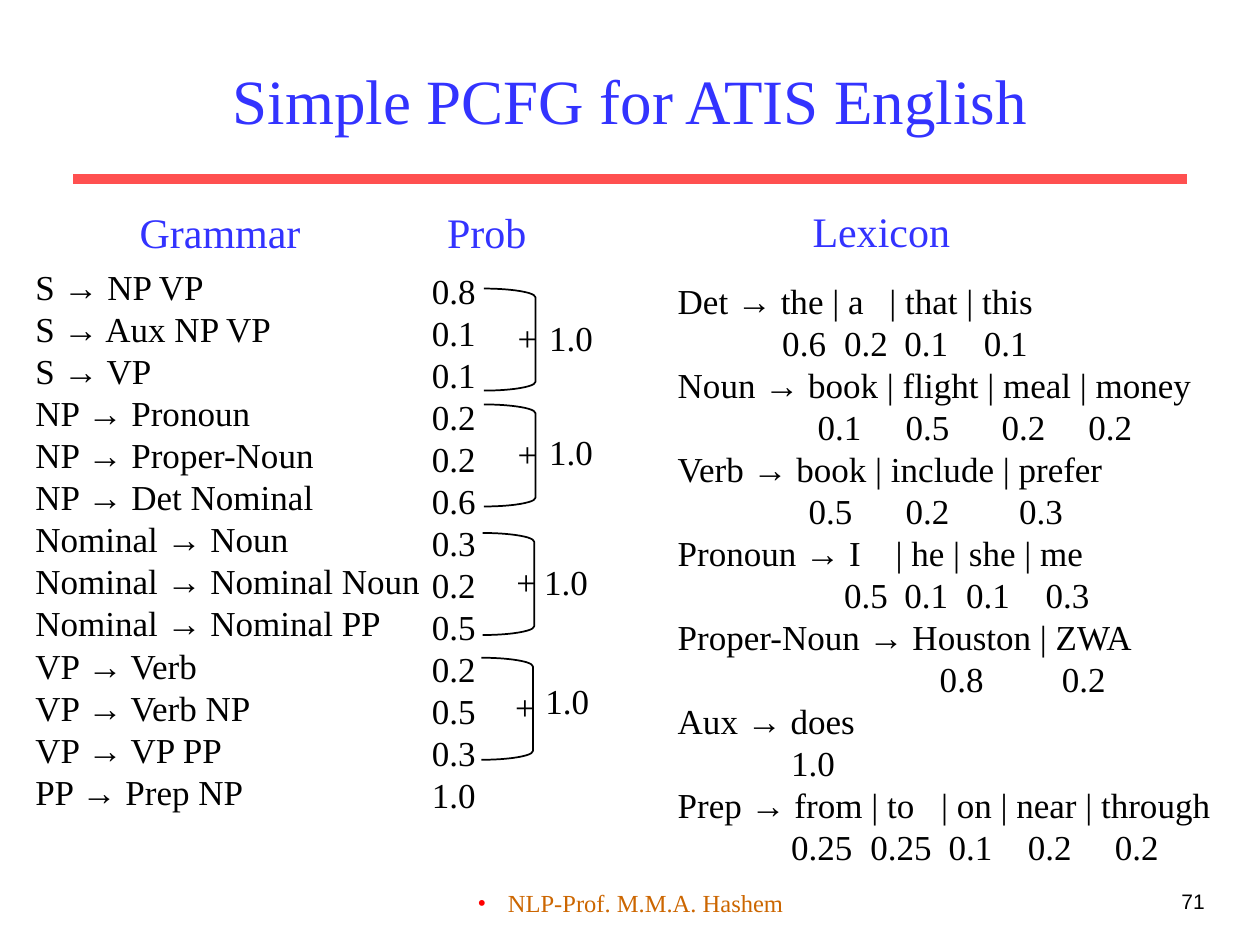
"""Build a slide showing a simple probabilistic grammar with its lexicon."""
from dataclasses import dataclass

from lxml.etree import SubElement
from pptx import Presentation
from pptx.dml.color import RGBColor
from pptx.enum.shapes import MSO_CONNECTOR, MSO_SHAPE
from pptx.enum.text import MSO_ANCHOR, MSO_AUTO_SIZE, PP_ALIGN
from pptx.oxml.ns import qn
from pptx.util import Inches, Pt

BLUE = RGBColor(0x33, 0x33, 0xFF)
CORAL = RGBColor(0xFF, 0x50, 0x50)
RED = RGBColor(0xFF, 0x00, 0x00)
ORANGE = RGBColor(0xCC, 0x66, 0x00)
BLACK = RGBColor(0x00, 0x00, 0x00)
SERIF = "Times New Roman"


@dataclass
class Style:
    size: int = 20
    color: RGBColor = BLACK
    font: str = SERIF
    align: PP_ALIGN = PP_ALIGN.LEFT
    anchor: MSO_ANCHOR = MSO_ANCHOR.TOP
    wrap: bool = True


@dataclass
class Rule:
    text: str
    probability: str


@dataclass
class Group:
    left: float
    top: float
    total_left: float
    total_top: float


@dataclass
class Entry:
    words: str
    probabilities: list[str]
    stops: list[float]
    word_stop: float | None = None


BODY = Style()
HEADING = Style(24, BLUE, wrap=False)
TITLE = Style(36, BLUE, align=PP_ALIGN.CENTER, anchor=MSO_ANCHOR.MIDDLE)
FOOTER = Style(14, ORANGE, align=PP_ALIGN.CENTER)
NUMBER = Style(12, font="Arial", align=PP_ALIGN.RIGHT)

RULES = [
    Rule("S → NP VP", "0.8"),
    Rule("S → Aux NP VP", "0.1"),
    Rule("S → VP", "0.1"),
    Rule("NP → Pronoun", "0.2"),
    Rule("NP → Proper-Noun", "0.2"),
    Rule("NP → Det Nominal", "0.6"),
    Rule("Nominal → Noun", "0.3"),
    Rule("Nominal → Nominal Noun", "0.2"),
    Rule("Nominal → Nominal PP", "0.5"),
    Rule("VP → Verb", "0.2"),
    Rule("VP → Verb NP", "0.5"),
    Rule("VP → VP PP", "0.3"),
    Rule("PP → Prep NP", "1.0"),
]
GROUPS = [
    Group(3.84, 2.29, 4.26, 2.46),
    Group(3.84, 3.21, 4.26, 3.37),
    Group(3.83, 4.23, 4.22, 4.4),
    Group(3.82, 5.22, 4.23, 5.34),
]
LEXICON = [
    Entry("Det → the | a\t| that | this", ["0.6", "0.2", "0.1", "0.1"],
          [0.83, 1.32, 1.8, 2.43], 1.68),
    Entry("Noun → book | flight | meal | money", ["0.1", "0.5", "0.2", "0.2"],
          [1.11, 1.81, 2.57, 3.26]),
    Entry("Verb → book | include | prefer", ["0.5", "0.2", "0.3"], [1.04, 1.81, 2.71]),
    Entry("Pronoun → I\t| he | she | me", ["0.5", "0.1", "0.1", "0.3"],
          [1.32, 1.8, 2.29, 2.92], 1.73),
    Entry("Proper-Noun → Houston | ZWA", ["0.8", "0.2"], [2.08, 3.05]),
    Entry("Aux → does", ["1.0"], [0.9]),
    Entry("Prep → from | to\t| on | near | through", ["0.25", "0.25", "0.1", "0.2", "0.2"],
          [0.9, 1.53, 2.15, 2.78, 3.47], 2.09),
]


def write(shape, box: tuple, lines: list[str], style: Style):
    """Place a text shape and fill it with uniformly styled lines."""
    shape.left, shape.top, shape.width, shape.height = map(Inches, box)
    frame = shape.text_frame
    frame.text = "\n".join(lines)
    frame.word_wrap = style.wrap
    frame.auto_size = MSO_AUTO_SIZE.NONE
    frame.vertical_anchor = style.anchor
    for paragraph in frame.paragraphs:
        paragraph.alignment = style.align
        if shape.is_placeholder:
            paragraph.space_before = Pt(0)
            properties = paragraph._p.get_or_add_pPr()
            properties.set("marL", "0")
            properties.set("indent", "0")
            SubElement(properties, qn("a:buNone"))
        for run in paragraph.runs:
            run.font.size = Pt(style.size)
            run.font.name = style.font
            run.font.color.rgb = style.color
    return shape


def add_text(slide, box: tuple, lines: list[str], style: Style = BODY):
    """Add a styled text box."""
    return write(slide.shapes.add_textbox(0, 0, 0, 0), box, lines, style)


def set_tabs(paragraph, stops: list[float]) -> None:
    """Give a paragraph left tab stops."""
    tabs = SubElement(paragraph._p.get_or_add_pPr(), qn("a:tabLst"))
    for stop in stops:
        SubElement(tabs, qn("a:tab"), pos=str(Inches(stop)), algn="l")


def add_bullet(paragraph, color: RGBColor, indent: float) -> None:
    """Give a paragraph a coloured hanging bullet."""
    properties = paragraph._p.get_or_add_pPr()
    properties.set("marL", str(Inches(indent)))
    properties.set("indent", str(-Inches(indent)))
    SubElement(SubElement(properties, qn("a:buClr")), qn("a:srgbClr"), val=str(color))
    SubElement(properties, qn("a:buFont"), typeface=SERIF)
    SubElement(properties, qn("a:buChar"), char="•")


def add_group(slide, group: Group) -> None:
    """Bracket a group of rules and show their total."""
    bracket = slide.shapes.add_shape(
        MSO_SHAPE.RIGHT_BRACKET, Inches(group.left), Inches(group.top), Inches(0.41), Inches(0.81))
    bracket.adjustments[0] = 0.17
    bracket.shadow.inherit = False
    bracket.fill.background()
    bracket.line.color.rgb = BLACK
    bracket.line.width = Pt(1)
    add_text(slide, (group.left + 0.17, group.top + 0.17, 0.42, 0.44), ["+"])
    add_text(slide, (group.total_left, group.total_top, 0.58, 0.44), ["1.0"])


def add_divider(slide) -> None:
    """Draw the thick line below the title."""
    divider = slide.shapes.add_connector(
        MSO_CONNECTOR.STRAIGHT, Inches(0.58), Inches(1.42), Inches(9.42), Inches(1.42))
    divider.line.color.rgb = CORAL
    divider.line.width = Pt(6)
    SubElement(divider._element.spPr, qn("a:effectLst"))


def add_lexicon(slide) -> None:
    """Write each entry with its probabilities aligned below."""
    lines = [line for entry in LEXICON
             for line in (entry.words, "\t" + "\t".join(entry.probabilities))]
    lexicon = add_text(slide, (5.28, 2.17, 4.72, 4.77), lines)
    paragraphs = lexicon.text_frame.paragraphs
    for entry, words, values in zip(LEXICON, paragraphs[::2], paragraphs[1::2]):
        if entry.word_stop:
            set_tabs(words, [entry.word_stop])
        set_tabs(values, entry.stops)


def main() -> None:
    """Create and save the presentation."""
    presentation = Presentation()
    presentation.slide_width, presentation.slide_height = Inches(10), Inches(7.5)
    layout = presentation.slide_layouts.get_by_name("Title and Content")
    slide = presentation.slides.add_slide(layout)
    title, grammar = slide.placeholders
    add_divider(slide)
    write(title, (0.75, 0.25, 8.5, 1.08), ["Simple PCFG for ATIS English"], TITLE)
    write(grammar, (0.18, 2.06, 3.41, 4.44), [rule.text for rule in RULES], BODY)
    add_text(slide, (1.01, 1.59, 1.47, 0.5), ["Grammar"], HEADING)
    add_text(slide, (3.45, 1.59, 0.83, 0.5), ["Prob"], HEADING)
    add_text(slide, (3.33, 2.09, 0.58, 4.44), [rule.probability for rule in RULES])
    for group in GROUPS:
        add_group(slide, group)
    add_text(slide, (6.35, 1.58, 1.29, 0.5), ["Lexicon"], HEADING)
    add_lexicon(slide)
    footer = add_text(slide, (3.42, 7, 3.17, 0.5), ["NLP-Prof. M.M.A. Hashem"], FOOTER)
    add_bullet(footer.text_frame.paragraphs[0], RED, 0.24)
    add_text(slide, (7.58, 7, 2.08, 0.5), ["71"], NUMBER)
    presentation.save("out.pptx")


if __name__ == "__main__":
    main()
